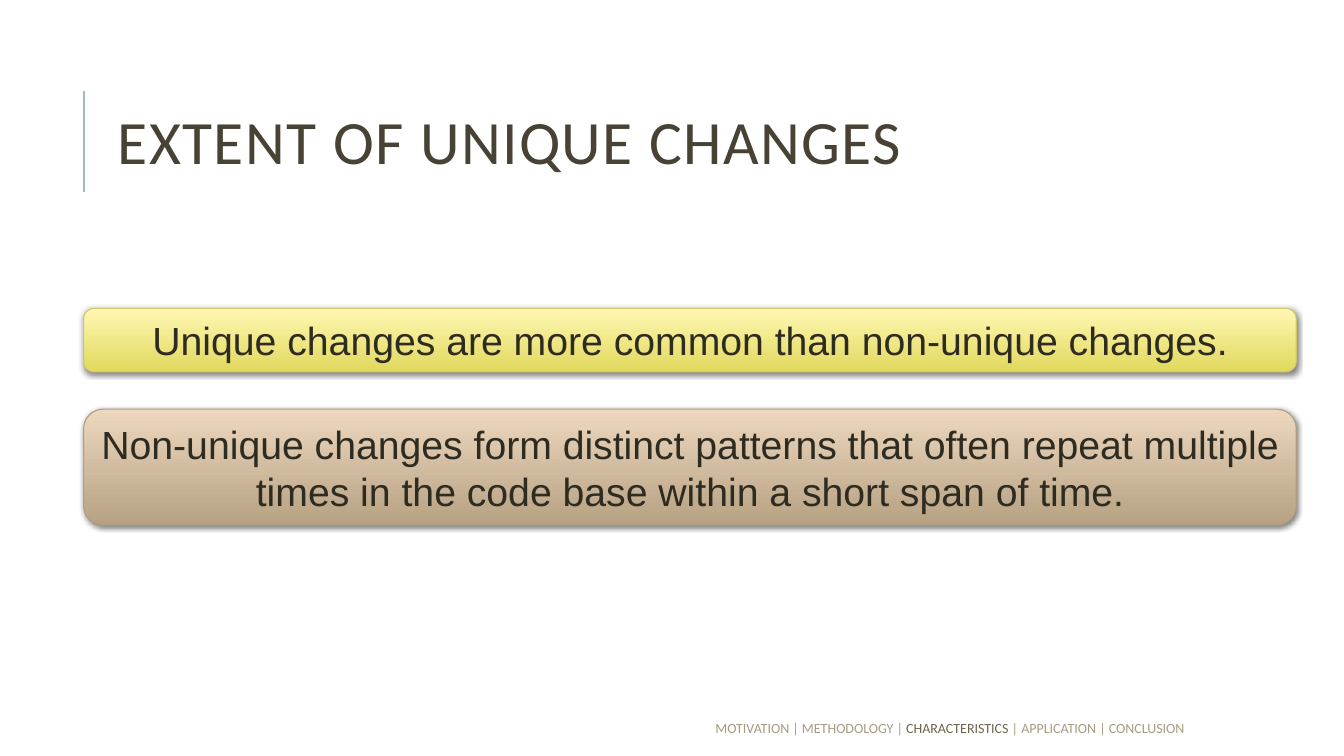
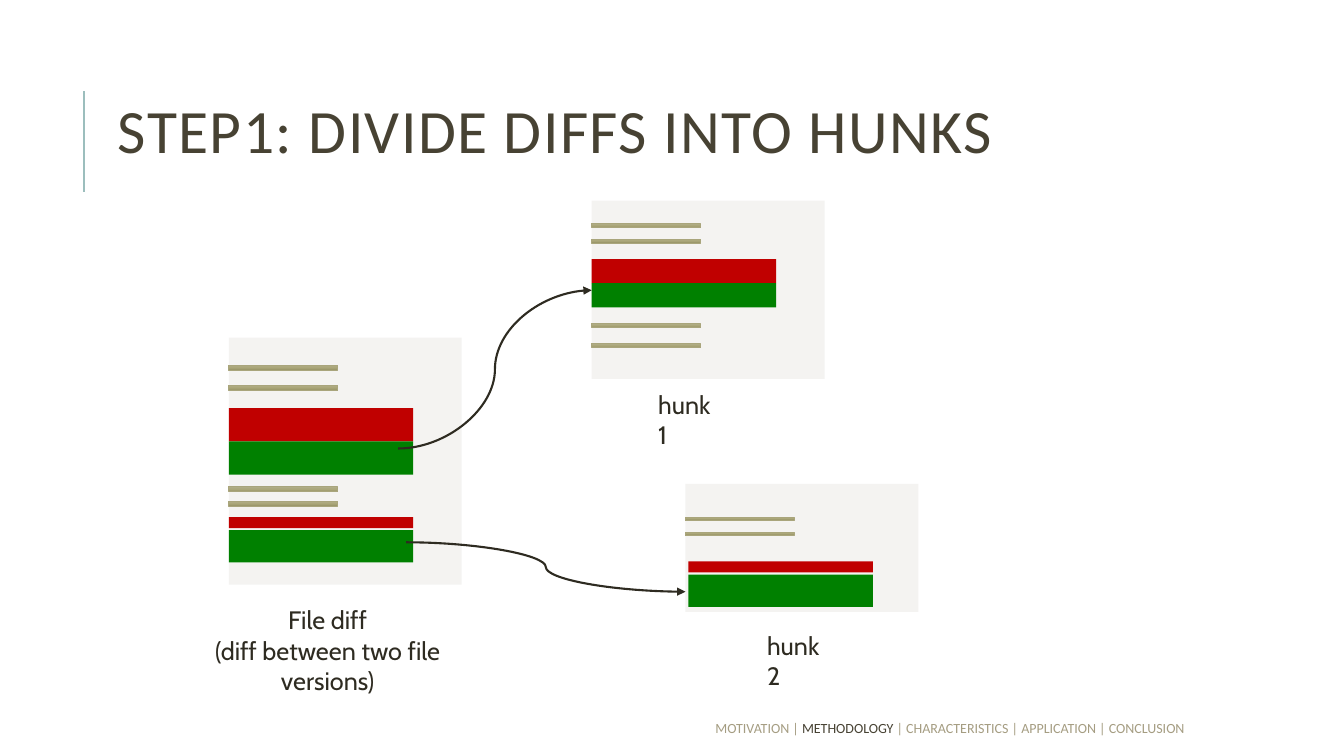
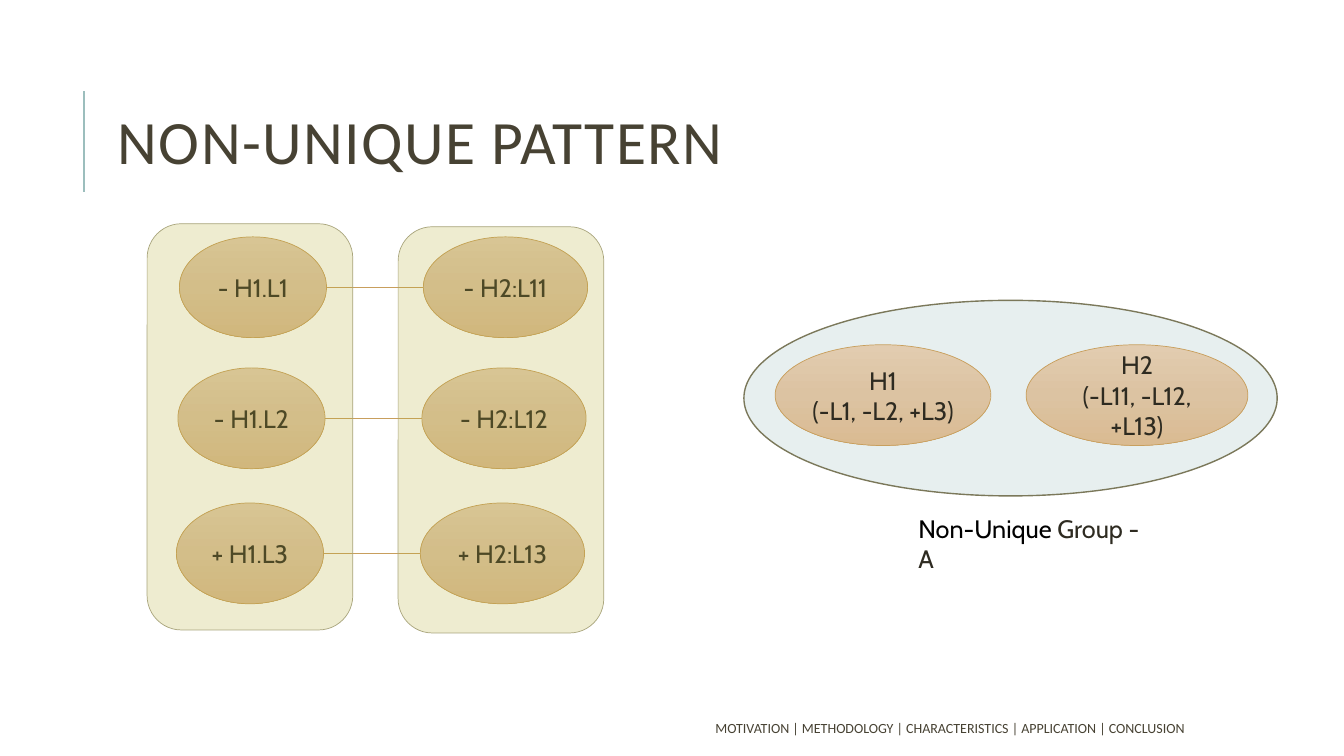
from dataclasses import dataclass
from typing import Any, NamedTuple, Optional

from lxml.etree import SubElement
from pptx import Presentation
from pptx.dml.color import RGBColor as Rgb
from pptx.enum.shapes import MSO_CONNECTOR as Link, MSO_SHAPE as Kind
from pptx.enum.text import MSO_ANCHOR as Anchor, PP_ALIGN as Align
from pptx.oxml.ns import qn
from pptx.util import Inches, Pt

CELL = 0.1  # inches per grid column and row
COLS, ROWS = 133.33, 75


def cells(count: float) -> int:
    return Inches(count * CELL)


class Box(NamedTuple):
    """Left, top, width and height in grid cells."""
    x: float
    y: float
    w: float
    h: float

    def emu(self) -> list[int]:
        return [cells(v) for v in self]


class Paint(NamedTuple):
    """One colour or several even stops, with angle and opacity in percent."""
    hues: tuple[str, ...]
    angle: int = 270
    alpha: int = 100


class Pen(NamedTuple):
    hue: str
    width: float


@dataclass(frozen=True)
class Style:
    font: str
    size: float
    hue: str
    align: Any = Align.CENTER
    anchor: Any = Anchor.MIDDLE
    pad: float = 0.5
    lead: Optional[float] = None
    track: int = 0


@dataclass(frozen=True)
class Theme:
    ink: str = "2E2B21"
    dark: str = "474233"
    mid: str = "6D664E"
    dim: str = "A59D82"
    black: str = "000000"
    rule: Pen = Pen("9CBEBD", 1.5)
    arrow: Pen = Pen("2E2B21", 1.5)
    edge: Pen = Pen("C89F5D", 0.5)
    olive: Pen = Pen("A9A57C", 0.5)
    ring: Pen = Pen("7B785A", 1)
    red: Paint = Paint(("C00000",))
    green: Paint = Paint(("008000",))
    page: Paint = Paint(("C3BFB5",), alpha=18)
    note: Paint = Paint(("B2AF8B", "ABA77A", "9A9669"))
    tan: Paint = Paint(("E2CCB0", "DCC3A2", "DABB92"))
    veil: Paint = Paint(("B7AE38",), alpha=23)
    pale: Paint = Paint(("C4D8D7",), alpha=40)
    title: Style = Style("Calibri", 44, dark, Align.LEFT, lead=0.8, track=100)
    foot: Style = Style("Calibri", 10, dim, Align.RIGHT, pad=0)
    claim: Style = Style("Arial", 28, ink)
    node: Style = Style("Cabin", 18, ink, pad=0)
    label: Style = Style("Cabin", 18, ink, Align.LEFT, Anchor.TOP)
    legend: Style = Style("Cabin", 18, ink, anchor=Anchor.TOP)


class Claim(NamedTuple):
    text: str
    top: float
    rows: float
    paint: Paint
    pen: Pen


class Edit(NamedTuple):
    """A red strip above a green one."""
    top: float
    red: float
    green: float
    gap: float = 0
    shift: float = 0


@dataclass(frozen=True)
class Sheet:
    left: float
    top: float
    rows: float
    note: float
    notes: tuple[float, ...]
    edits: tuple[Edit, ...]
    text: str
    place: Box
    style: Style


class Pair(NamedTuple):
    top: float
    shift: float
    left: str
    right: str


class Node(NamedTuple):
    text: str
    x: float
    w: float


T = Theme()
PARTS = ("MOTIVATION", "METHODOLOGY", "CHARACTERISTICS", "APPLICATION",
         "CONCLUSION")

CLAIMS = (
    Claim("Unique changes are more common than non-unique changes.",
          30.6, 6.3, Paint(("E1D85D", "FFF8B3"), 90), Pen("D0C967", 0.75)),
    Claim("Non-unique changes form distinct patterns that often repeat "
          "multiple times in the code base within a short span of time.",
          40.6, 11.5, Paint(("B7A183", "EDD8BE"), 90), Pen("AE9D85", 0.75)),
)
SHEETS = (
    Sheet(22.7, 33.5, 24.5, 0.5, (36.2, 38.2, 48.3, 49.7),
          (Edit(40.5, 3.3, 3.3), Edit(51.3, 1.1, 3.2, 0.2)),
          "File diff\n(diff between two file versions)",
          Box(16.6, 59.5, 31.8, 6.3), T.legend),
    Sheet(58.7, 19.9, 17.7, 0.4, (22.2, 23.7, 32.1, 34.1),
          (Edit(25.7, 2.4, 2.4),),
          "hunk1", Box(64.8, 38.1, 6.9, 3.6), T.label),
    Sheet(68, 48, 12.7, 0.3, (51.3, 52.8),
          (Edit(55.7, 1.1, 3.2, 0.2, 0.3),),
          "hunk2", Box(75.6, 62, 6.9, 3.6), T.label),
)
SHEET_W, NOTE_W, EDIT_W = 23.1, 10.8, 18.3
ARROWS = ((39.5, 44.5, 58.7, 28.8), (40.3, 53.8, 68, 58.7))

PAIRS = (
    Pair(23.5, 0, "- H1.L1", "- H2:L11"),
    Pair(36.5, -0.15, "- H1.L2", "- H2:L12"),
    Pair(49.9, -0.3, "+ H1.L3", "+ H2:L13"),
)
LEFT_X, LEFT_W, RIGHT_X, RIGHT_W, NODE_H = 17.8, 14.6, 42, 16.3, 10
VEILS = (Box(14.6, 22.2, 20.4, 40.3), Box(39.5, 22.5, 20.4, 40.3))
GROUP = (Node("H2\n(-L11, -L12, +L13)", 101.8, 22),
         Node("H1\n(-L1, -L2, +L3)", 76.9, 21.4))


def apply(item: Any, values: dict[str, Any]) -> None:
    for name, value in values.items():
        setattr(item, name, value)


def tint(node: Any, hue: str, alpha: int = 100) -> None:
    """Add a colour, translucent if alpha is below 100, to an XML node."""
    color = SubElement(node, qn("a:srgbClr"), val=hue)
    if alpha < 100:
        SubElement(color, qn("a:alpha"), val=str(alpha * 1000))


def brush(shape: Any, paint: Paint) -> None:
    fill = shape.fill
    if len(paint.hues) == 1:
        fill.solid()
        fill.fore_color.rgb = Rgb.from_string(paint.hues[0])
        if paint.alpha < 100:
            color = shape._element.spPr.find(".//" + qn("a:srgbClr"))
            SubElement(color, qn("a:alpha"), val=str(paint.alpha * 1000))
        return
    fill.gradient()
    fill.gradient_angle = paint.angle
    stops = shape._element.spPr.find(".//" + qn("a:gsLst"))
    stops.clear()
    step = 100000 // (len(paint.hues) - 1)
    for i, hue in enumerate(paint.hues):
        tint(SubElement(stops, qn("a:gs"), pos=str(i * step)), hue)


def ink(line: Any, pen: Optional[Pen]) -> None:
    if pen is None:
        line.fill.background()
        return
    line.color.rgb = Rgb.from_string(pen.hue)
    line.width = Pt(pen.width)


def write(frame: Any, runs: list[tuple[str, str]], style: Style) -> None:
    """Fill a text frame with (text, colour) runs; a newline ends a paragraph."""
    pad = cells(style.pad)
    apply(frame, {"word_wrap": True, "vertical_anchor": style.anchor,
                  "margin_left": pad, "margin_right": pad,
                  "margin_top": pad, "margin_bottom": pad})
    para = frame.paragraphs[0]
    for text, hue in runs:
        for i, part in enumerate(text.split("\n")):
            if i:
                para = frame.add_paragraph()
            apply(para, {"alignment": style.align, "line_spacing": style.lead})
            run = para.add_run()
            run.text = part
            apply(run.font, {"name": style.font, "size": Pt(style.size)})
            run.font.color.rgb = Rgb.from_string(hue)
            if style.track:
                run._r.get_or_add_rPr().set("spc", str(style.track))


def shape(slide: Any, kind: Any, box: Box, paint: Paint,
          pen: Optional[Pen] = None, text: str = "",
          style: Style = T.node) -> Any:
    item = slide.shapes.add_shape(kind, *box.emu())
    item.shadow.inherit = False
    brush(item, paint)
    ink(item.line, pen)
    if text:
        write(item.text_frame, [(text, style.hue)], style)
    return item


def label(slide: Any, box: Box, runs: list[tuple[str, str]],
          style: Style) -> None:
    write(slide.shapes.add_textbox(*box.emu()).text_frame, runs, style)


def link(slide: Any, ends: tuple[float, ...], pen: Pen,
         kind: Any = Link.STRAIGHT, head: bool = False) -> None:
    item = slide.shapes.add_connector(kind, *map(cells, ends))
    ink(item.line, pen)
    if head:
        SubElement(item.line._get_or_add_ln(), qn("a:tailEnd"), type="triangle")
    SubElement(item._element.spPr, qn("a:effectLst"))


def shade(item: Any) -> None:
    """Give a shape a soft shadow just below it."""
    effects = item._element.spPr.find(qn("a:effectLst"))
    drop = SubElement(effects, qn("a:outerShdw"), blurRad=str(Pt(4)),
                      dist=str(Pt(1)), dir="5400000", rotWithShape="0")
    tint(drop, T.black, 50)


def start(deck: Any, title: str, top: float, lit: tuple[str, ...],
          hue: str, rest: str = T.dim) -> Any:
    """Add a slide with rule, title and section footer."""
    slide = deck.slides.add_slide(deck.slide_layouts[6])
    link(slide, (8.3, 19, 8.3, 9), T.rule)
    runs: list[tuple[str, str]] = []
    for i, part in enumerate(PARTS):
        if i:
            runs.append((" | ", rest))
        runs.append((part, hue if part in lit else rest))
    label(slide, Box(53, 71, 64.5, 2.5), runs, T.foot)
    label(slide, Box(11.2, top, 115, 16.4), [(title, T.title.hue)], T.title)
    return slide


def extent(deck: Any) -> None:
    slide = start(deck, "EXTENT OF UNIQUE CHANGES", 6.4,
                  ("CHARACTERISTICS",), T.mid)
    for c in CLAIMS:
        shade(shape(slide, Kind.ROUNDED_RECTANGLE,
                    Box(8.3, c.top, 120.3, c.rows),
                    c.paint, c.pen, c.text, T.claim))


def sheet(slide: Any, s: Sheet) -> None:
    rect = Kind.RECTANGLE
    shape(slide, rect, Box(s.left, s.top, SHEET_W, s.rows), T.page)
    for top in s.notes:
        shape(slide, rect, Box(s.left, top, NOTE_W, s.note), T.note, T.olive)
    for e in s.edits:
        x = s.left + e.shift
        shape(slide, rect, Box(x, e.top, EDIT_W, e.red), T.red)
        shape(slide, rect, Box(x, e.top + e.red + e.gap, EDIT_W, e.green),
              T.green)
    label(slide, s.place, [(s.text, s.style.hue)], s.style)


def hunks(deck: Any) -> None:
    slide = start(deck, "STEP1: DIVIDE DIFFS INTO HUNKS", 5.3,
                  ("METHODOLOGY",), T.dark)
    for s in SHEETS:
        sheet(slide, s)
    for ends in ARROWS:
        link(slide, ends, T.arrow, Link.CURVE, head=True)


def pattern(deck: Any) -> None:
    slide = start(deck, "NON-UNIQUE PATTERN", 6.4, PARTS, T.dark, T.dark)
    for p in PAIRS:
        left, right = LEFT_X + p.shift, RIGHT_X + p.shift
        for x, wide, text in ((right, RIGHT_W, p.right),
                              (left, LEFT_W, p.left)):
            shape(slide, Kind.OVAL, Box(x, p.top, wide, NODE_H),
                  T.tan, T.edge, text)
        mid = p.top + NODE_H / 2
        link(slide, (left + LEFT_W, mid, right, mid), T.edge)
    for box in VEILS:
        shape(slide, Kind.ROUNDED_RECTANGLE, box, T.veil, T.olive)
    shape(slide, Kind.OVAL, Box(73.8, 29.8, 52.9, 19.4), T.pale, T.ring)
    for n in GROUP:
        shape(slide, Kind.OVAL, Box(n.x, 34.2, n.w, NODE_H),
              T.tan, T.edge, n.text)
    label(slide, Box(90.6, 50.4, 23.9, 4),
          [("Non-Unique ", T.black), ("Group - A", T.ink)], T.label)


def main() -> None:
    deck = Presentation()
    apply(deck, {"slide_width": cells(COLS), "slide_height": cells(ROWS)})
    for build in (extent, hunks, pattern):
        build(deck)
    deck.save("out.pptx")


if __name__ == "__main__":
    main()
